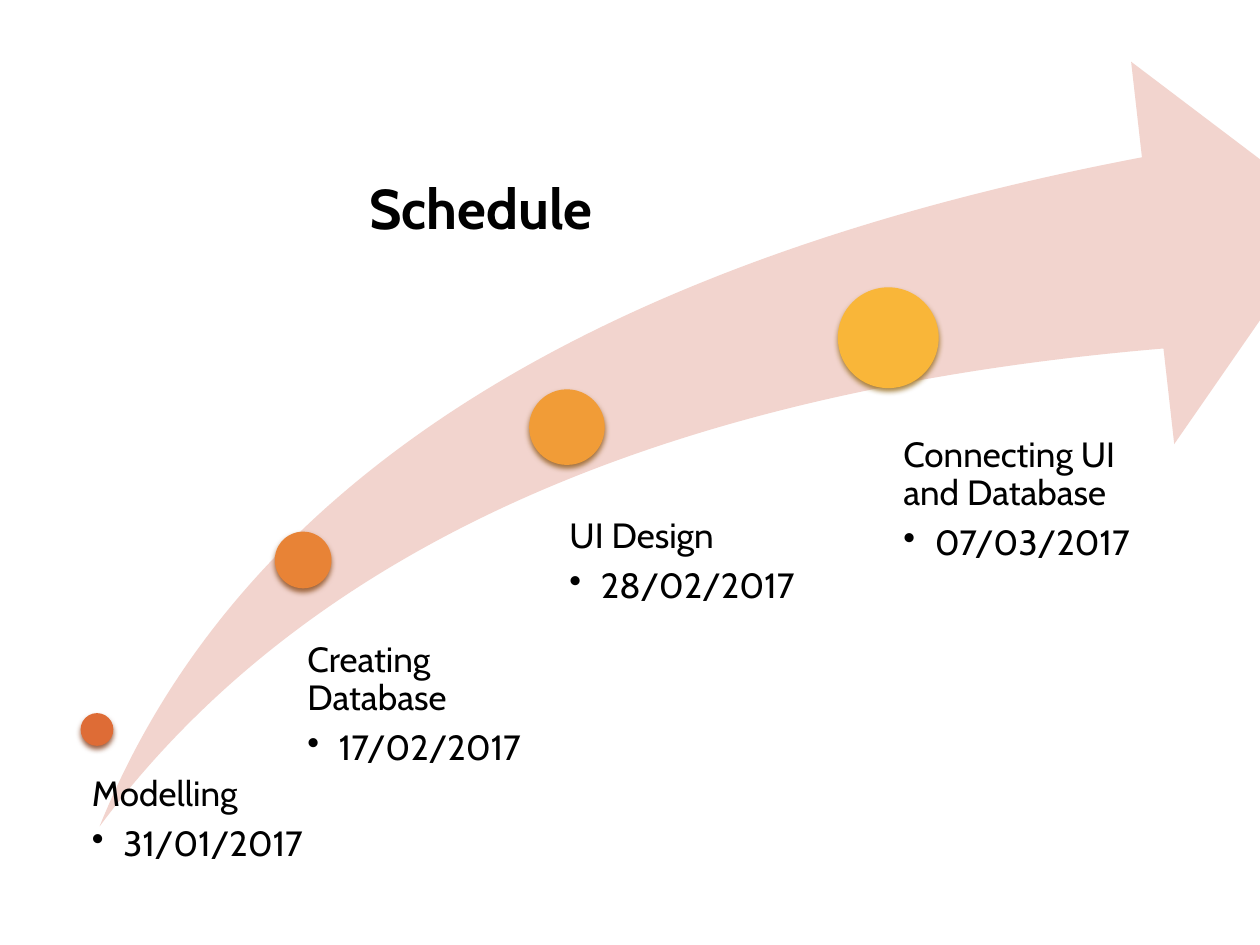
from lxml.etree import SubElement
from pptx import Presentation
from pptx.dml.color import RGBColor
from pptx.enum.shapes import MSO_SHAPE
from pptx.enum.text import MSO_ANCHOR, PP_ALIGN
from pptx.oxml import parse_xml
from pptx.oxml.ns import nsdecls, qn
from pptx.util import Pt

FONT = "Cabin"
STEPS = [
    ("Modelling", "31/01/2017", "DE6C36", "894321", (46.1, 407.5, 18.7), (42.5, 443.5, 168, 121), 10),
    ("Creating Database", "17/02/2017", "E88336", "8F5122", (157, 303.8, 32.4), (158.4, 367.2, 168, 189.4), 17.3),
    ("UI Design", "28/02/2017", "F19C37", "956022", (302.4, 222.5, 43.2), (302.4, 295.9, 168, 190.8), 23),
    ("Connecting UI and Database", "07/03/2017", "F9B639", "9A7023", (478.8, 164.2, 57.6), (486, 249.8, 168, 234.7), 30.2),
]


def color(code):
    """Turn a hex string into a colour."""
    return RGBColor.from_string(code)


def style(para, size, bold=False):
    """Set the font of every run in a paragraph."""
    para.alignment = PP_ALIGN.LEFT
    for run in para.runs:
        run.font.name = FONT
        run.font.size = Pt(size)
        run.font.bold = bold
        run.font.color.rgb = color("000000")


def add_form(shapes, kind, box, fill):
    """Add a plain filled shape without outline or shadow."""
    form = shapes.add_shape(kind, *map(Pt, box))
    form.shadow.inherit = False
    form.fill.solid()
    form.fill.fore_color.rgb = color(fill)
    form.line.fill.background()
    return form


def add_arrow(shapes, box):
    """Add the rising arrow."""
    arrow = add_form(shapes, MSO_SHAPE.SWOOSH_ARROW, box, "F2D4CE")
    arrow.adjustments[0] = 0.25
    arrow.adjustments[1] = 0.25


def add_dot(shapes, spot, fill, shade):
    """Add a round marker with a soft shadow below it."""
    left, top, size = spot
    dot = add_form(shapes, MSO_SHAPE.OVAL, (left, top, size, size), fill)
    glow = dot._element.spPr.find(qn("a:effectLst"))
    glow.append(parse_xml(
        f'<a:outerShdw {nsdecls("a")} blurRad="{Pt(3.1)}" dist="{Pt(2)}" dir="5400000" rotWithShape="0">'
        f'<a:srgbClr val="{shade}"><a:alpha val="83000"/></a:srgbClr></a:outerShdw>'))


def add_label(shapes, box, inset, name, date):
    """Add a step name with its date as a bullet."""
    frame = shapes.add_textbox(*map(Pt, box)).text_frame
    frame.word_wrap = True
    frame.vertical_anchor = MSO_ANCHOR.TOP
    frame.margin_left = Pt(inset)
    frame.margin_top = frame.margin_right = frame.margin_bottom = 0
    frame.text = f"{name}\n{date}"
    for para, gap in zip(frame.paragraphs, (7, 3)):
        para.line_spacing = 0.9
        para.space_after = Pt(gap)
        style(para, 20)
    para = frame.paragraphs[1]
    para.level = 1
    props = para._p.get_or_add_pPr()
    props.set("marL", str(Pt(18)))
    props.set("indent", str(Pt(-18)))
    SubElement(props, qn("a:buChar"), char="•")


def add_title(shapes, box, text):
    """Add the bold heading."""
    frame = shapes.add_textbox(*map(Pt, box)).text_frame
    frame.word_wrap = True
    frame.text = text
    style(frame.paragraphs[0], 32, True)


def main():
    """Build the schedule slide and save it."""
    deck = Presentation()
    deck.slide_width, deck.slide_height = Pt(720), Pt(540)
    slide = deck.slides.add_slide(deck.slide_layouts[6])
    group = slide.shapes.add_group_shape()
    add_arrow(group.shapes, (56.9, 35.3, 704.9, 437))
    for name, date, fill, shade, spot, box, inset in STEPS:
        add_dot(group.shapes, spot, fill, shade)
        add_label(group.shapes, box, inset, name, date)
    add_title(slide.shapes, (203.8, 95.8, 180, 85), "Schedule")
    deck.save("out.pptx")


if __name__ == "__main__":
    main()
